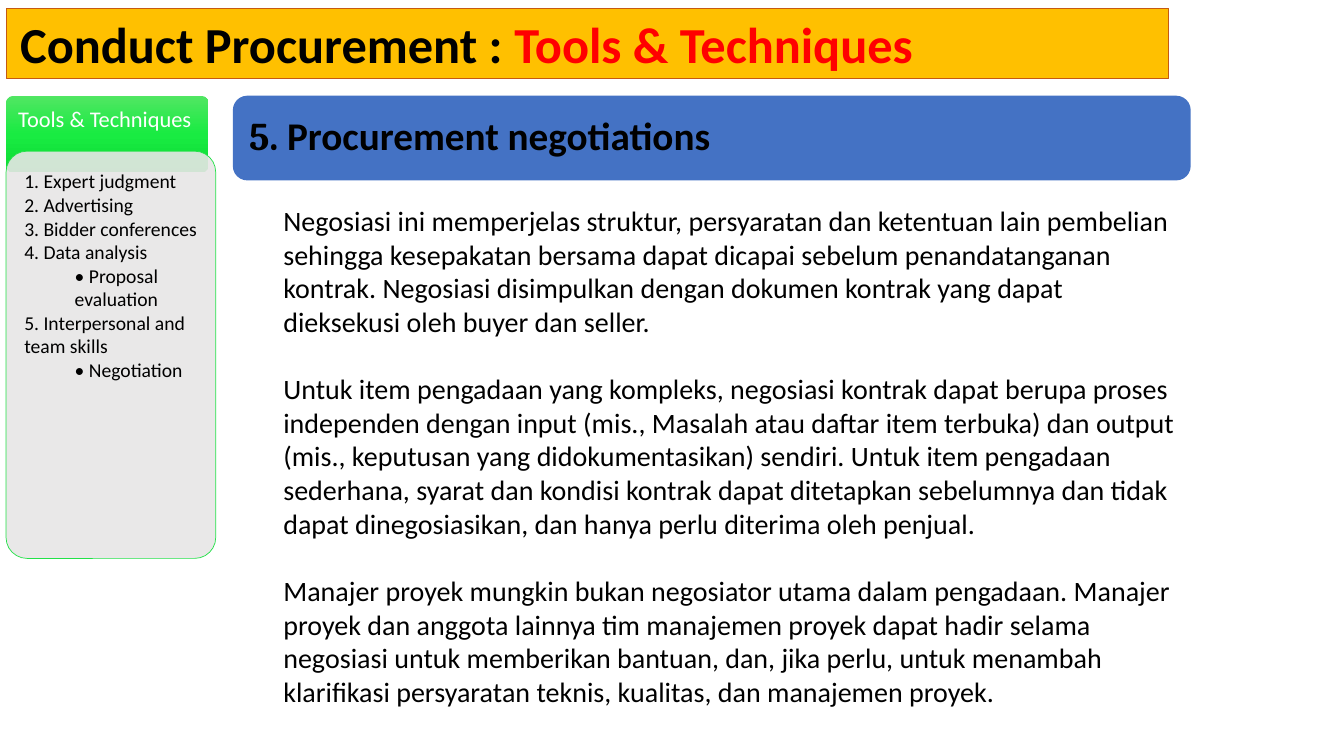
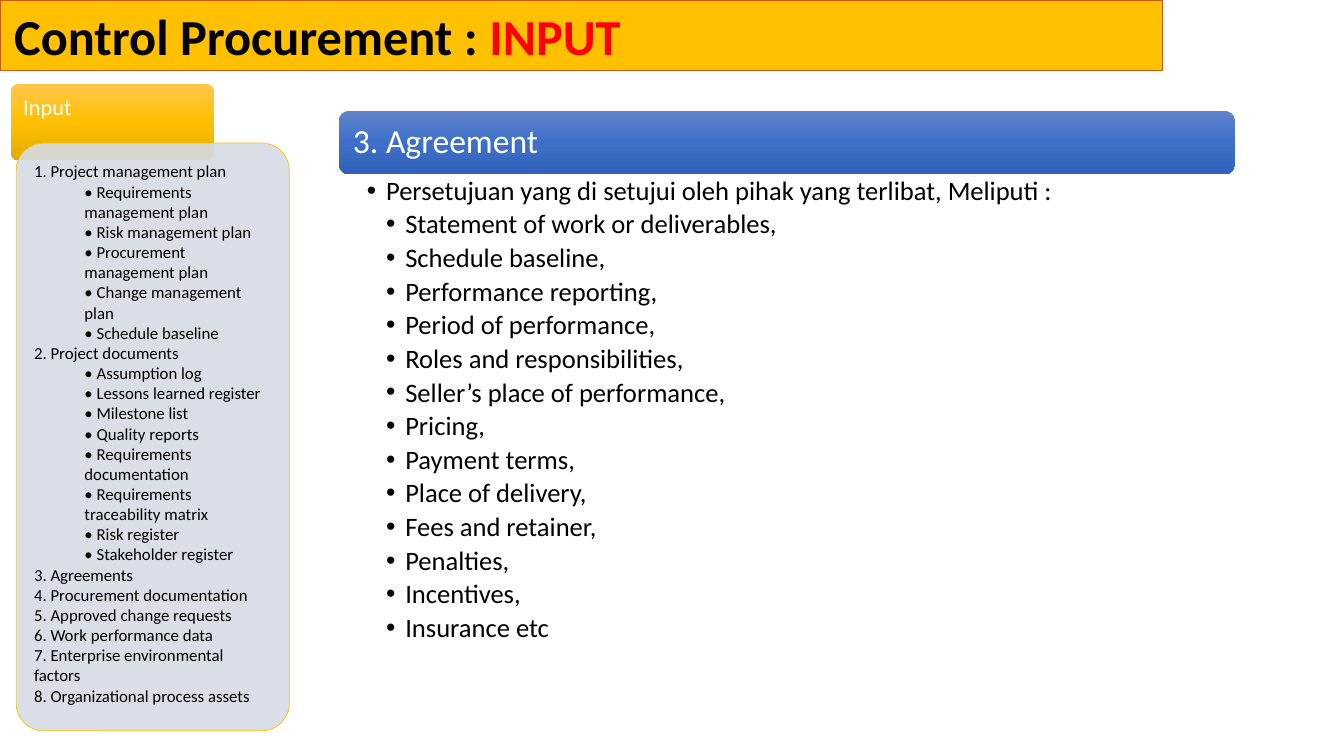
from dataclasses import dataclass
from typing import Optional

from lxml.etree import SubElement
from pptx import Presentation
from pptx.dml.color import RGBColor
from pptx.enum.shapes import MSO_SHAPE
from pptx.enum.text import MSO_ANCHOR, MSO_AUTO_SIZE, PP_ALIGN
from pptx.oxml.ns import qn
from pptx.shapes.autoshape import Shape
from pptx.slide import Slide
from pptx.text.text import Font, TextFrame, _Paragraph
from pptx.util import Pt

EMU_PER_PX = 9144  # 100 px to the inch
FONT = "Calibri"
BLACK, WHITE, RED = "000000", "FFFFFF", "FF0000"
GOLD, RUST = "FFC000", "C55A11"
CORNER_INSET = 0.29  # share of the corner radius added to a rounded box's text inset
HEADING_CORNER, SIDEBAR_CORNER = 0.17, 0.1


@dataclass(frozen=True)
class Box:
    left: int
    top: int
    width: int
    height: int


@dataclass(frozen=True)
class Heading:
    box: Box
    number: str
    text: str
    number_font: str
    size: int
    color: str
    bold: bool
    inset: int
    fills: tuple[str, ...]


@dataclass(frozen=True)
class Sidebar:
    tab: Box
    label: str
    tab_fills: tuple[str, ...]
    panel: Box
    panel_fill: str
    panel_line: str
    size: int
    lines: tuple[str, ...]


@dataclass(frozen=True)
class BodyStyle:
    box: Box
    insets: tuple[int, int, int, int]
    size: int
    indents: tuple[int, ...]
    hanging: int
    line_spacing: float
    space_after: float
    bullet: Optional[str] = None


@dataclass(frozen=True)
class Topic:
    band: Box
    title: str
    accent: str
    heading: Heading
    sidebar: Sidebar
    body_style: BodyStyle
    body: tuple[tuple[int, str], ...]


NEGOTIATIONS = Topic(
    band=Box(6, 8, 1153, 70),
    title="Conduct Procurement : ",
    accent="Tools & Techniques",
    heading=Heading(Box(231, 95, 950, 84), "5. ", "Procurement negotiations",
                    "Cambria", 28, BLACK, True, 16, ("4472C4",)),
    sidebar=Sidebar(
        Box(6, 95, 201, 76), "Tools & Techniques", ("51E663", "19EB42", "0CDB34"),
        Box(6, 150, 208, 404), "E7E6E6", "23E148", 14,
        (
            "1. Expert judgment",
            "2. Advertising",
            "3. Bidder conferences",
            "4. Data analysis",
            "• Proposal evaluation",
            "5. Interpersonal and team skills",
            "• Negotiation",
        ),
    ),
    body_style=BodyStyle(Box(231, 197, 950, 515), (10, 5, 10, 5), 20, (40,), 0, 1.0, 24),
    body=(
        (0, "Negosiasi ini memperjelas struktur, persyaratan dan ketentuan lain pembelian "
            "sehingga kesepakatan bersama dapat dicapai sebelum penandatanganan kontrak. "
            "Negosiasi disimpulkan dengan dokumen kontrak yang dapat dieksekusi oleh buyer "
            "dan seller."),
        (0, "Untuk item pengadaan yang kompleks, negosiasi kontrak dapat berupa proses "
            "independen dengan input (mis., Masalah atau daftar item terbuka) dan output "
            "(mis., keputusan yang didokumentasikan) sendiri. Untuk item pengadaan "
            "sederhana, syarat dan kondisi kontrak dapat ditetapkan sebelumnya dan tidak "
            "dapat dinegosiasikan, dan hanya perlu diterima oleh penjual."),
        (0, "Manajer proyek mungkin bukan negosiator utama dalam pengadaan. Manajer proyek "
            "dan anggota lainnya tim manajemen proyek dapat hadir selama negosiasi untuk "
            "memberikan bantuan, dan, jika perlu, untuk menambah klarifikasi persyaratan "
            "teknis, kualitas, dan manajemen proyek."),
    ),
)

AGREEMENT = Topic(
    band=Box(0, 0, 1153, 70),
    title="Control Procurement : ",
    accent="INPUT",
    heading=Heading(Box(336, 110, 889, 63), "3. ", "Agreement",
                    FONT, 24, WHITE, False, 14, ("6183CB", "3E70CA", "3062BB")),
    sidebar=Sidebar(
        Box(11, 83, 201, 76), "Input", ("FFC64B", GOLD, "E3AB00"),
        Box(16, 142, 271, 583), "D6DCE5", GOLD, 12,
        (
            "1. Project management plan",
            "• Requirements management plan",
            "• Risk management plan",
            "• Procurement management plan",
            "• Change management plan",
            "• Schedule baseline",
            "2. Project documents",
            "• Assumption log",
            "• Lessons learned register",
            "• Milestone list",
            "• Quality reports",
            "• Requirements documentation",
            "• Requirements traceability matrix",
            "• Risk register",
            "• Stakeholder register",
            "3. Agreements",
            "4. Procurement documentation",
            "5. Approved change requests",
            "6. Work performance data",
            "7. Enterprise environmental factors",
            "8. Organizational process assets",
        ),
    ),
    body_style=BodyStyle(Box(336, 173, 889, 500), (28, 3, 19, 3), 19, (19, 38), -19,
                         0.9, 3.5, "•"),
    body=(
        (0, "Persetujuan yang di setujui oleh pihak yang terlibat, Meliputi :"),
        (1, "Statement of work or deliverables,"),
        (1, "Schedule baseline,"),
        (1, "Performance reporting,"),
        (1, "Period of performance,"),
        (1, "Roles and responsibilities,"),
        (1, "Seller’s place of performance,"),
        (1, "Pricing,"),
        (1, "Payment terms,"),
        (1, "Place of delivery,"),
        (1, "Fees and retainer,"),
        (1, "Penalties,"),
        (1, "Incentives,"),
        (1, "Insurance etc"),
    ),
)


def px(length: int) -> int:
    return length * EMU_PER_PX


def rgb(color: str) -> RGBColor:
    return RGBColor.from_string(color)


def place(shape: Shape, box: Box) -> None:
    shape.left, shape.top = px(box.left), px(box.top)
    shape.width, shape.height = px(box.width), px(box.height)


def fill_shape(shape: Shape, colors: tuple[str, ...]) -> None:
    """Fill with one colour, or with a gradient running from top to bottom."""
    if len(colors) == 1:
        shape.fill.solid()
        shape.fill.fore_color.rgb = rgb(colors[0])
        return
    shape.fill.gradient()
    shape.fill.gradient_angle = 270
    stops = shape._element.spPr.find(qn("a:gradFill")).find(qn("a:gsLst"))
    for stop in list(stops):
        stops.remove(stop)
    for index, color in enumerate(colors):
        position = 100000 * index // (len(colors) - 1)
        stop = SubElement(stops, qn("a:gs"), pos=str(position))
        SubElement(stop, qn("a:srgbClr"), val=color)


def set_transparency(shape: Shape, opacity: int) -> None:
    color = shape._element.spPr.find(qn("a:solidFill"))[0]
    SubElement(color, qn("a:alpha"), val=str(opacity * 1000))


def set_frame(frame: TextFrame, insets: tuple[int, int, int, int],
              anchor: MSO_ANCHOR = MSO_ANCHOR.TOP) -> None:
    frame.word_wrap = True
    frame.auto_size = MSO_AUTO_SIZE.NONE
    frame.vertical_anchor = anchor
    frame.margin_left, frame.margin_top, frame.margin_right, frame.margin_bottom = map(px, insets)


def set_font(font: Font, size: int, color: str, bold: bool = False) -> None:
    font.name, font.size, font.bold = FONT, Pt(size), bold
    font.color.rgb = rgb(color)


def set_indent(paragraph: _Paragraph, left: int, first: int = 0,
               bullet: Optional[str] = None) -> None:
    properties = paragraph._p.get_or_add_pPr()
    properties.set("marL", str(px(left)))
    properties.set("indent", str(px(first)))
    if bullet:
        SubElement(properties, qn("a:buChar"), char=bullet)
    else:
        SubElement(properties, qn("a:buNone"))


def next_paragraph(frame: TextFrame, index: int) -> _Paragraph:
    paragraph = frame.add_paragraph() if index else frame.paragraphs[0]
    paragraph.alignment = PP_ALIGN.LEFT
    return paragraph


def add_rounded_box(slide: Slide, box: Box, corner: float, colors: tuple[str, ...],
                    insets: tuple[int, int, int, int], anchor: MSO_ANCHOR) -> Shape:
    shape = slide.shapes.add_shape(MSO_SHAPE.ROUNDED_RECTANGLE, 0, 0, 0, 0)
    place(shape, box)
    shape.adjustments[0] = corner
    shape.shadow.inherit = False
    shape.line.fill.background()
    fill_shape(shape, colors)
    built_in = round(corner * min(box.width, box.height) * CORNER_INSET)
    set_frame(shape.text_frame, tuple(inset - built_in for inset in insets), anchor)
    return shape


def add_title(slide: Slide, topic: Topic) -> None:
    title = slide.shapes.title
    place(title, topic.band)
    fill_shape(title, (GOLD,))
    title.line.color.rgb = rgb(RUST)
    title.line.width = Pt(0.75)
    set_frame(title.text_frame, (14, 5, 9, 5))
    paragraph = next_paragraph(title.text_frame, 0)
    for text, color in ((topic.title, BLACK), (topic.accent, RED)):
        run = paragraph.add_run()
        run.text = text
        set_font(run.font, 36, color, bold=True)


def add_heading(slide: Slide, heading: Heading) -> None:
    shape = add_rounded_box(slide, heading.box, HEADING_CORNER, heading.fills,
                            (heading.inset,) * 4, MSO_ANCHOR.MIDDLE)
    paragraph = next_paragraph(shape.text_frame, 0)
    paragraph.line_spacing = 0.9
    for text, font_name in ((heading.number, heading.number_font), (heading.text, FONT)):
        run = paragraph.add_run()
        run.text = text
        set_font(run.font, heading.size, heading.color, heading.bold)
        run.font.name = font_name


def add_body(slide: Slide, topic: Topic) -> None:
    style = topic.body_style
    body = slide.placeholders[1]
    place(body, style.box)
    set_frame(body.text_frame, style.insets)
    for index, (level, text) in enumerate(topic.body):
        paragraph = next_paragraph(body.text_frame, index)
        paragraph.text = text
        paragraph.level = level
        set_indent(paragraph, style.indents[level], style.hanging, style.bullet)
        paragraph.line_spacing = style.line_spacing
        paragraph.space_before = Pt(0)
        paragraph.space_after = Pt(style.space_after)
        set_font(paragraph.font, style.size, BLACK)


def add_sidebar(slide: Slide, sidebar: Sidebar) -> None:
    tab = add_rounded_box(slide, sidebar.tab, SIDEBAR_CORNER, sidebar.tab_fills,
                          (12, 12, 12, 32), MSO_ANCHOR.TOP)
    label = next_paragraph(tab.text_frame, 0)
    label.text = sidebar.label
    label.line_spacing = 0.9
    set_font(label.font, 16, WHITE)

    panel = add_rounded_box(slide, sidebar.panel, SIDEBAR_CORNER, (sidebar.panel_fill,),
                            (18, 18, 18, 18), MSO_ANCHOR.TOP)
    set_transparency(panel, 90)
    panel.line.color.rgb = rgb(sidebar.panel_line)
    panel.line.width = Pt(0.5)
    for index, text in enumerate(sidebar.lines):
        paragraph = next_paragraph(panel.text_frame, index)
        paragraph.text = text
        set_indent(paragraph, 50 if text.startswith("•") else 0)
        set_font(paragraph.font, sidebar.size, BLACK)


def main() -> None:
    presentation = Presentation()
    presentation.slide_width, presentation.slide_height = px(1333), px(750)
    for topic in (NEGOTIATIONS, AGREEMENT):
        slide = presentation.slides.add_slide(presentation.slide_layouts[1])
        add_title(slide, topic)
        add_heading(slide, topic.heading)
        add_body(slide, topic)
        add_sidebar(slide, topic.sidebar)
    presentation.save("out.pptx")


if __name__ == "__main__":
    main()
